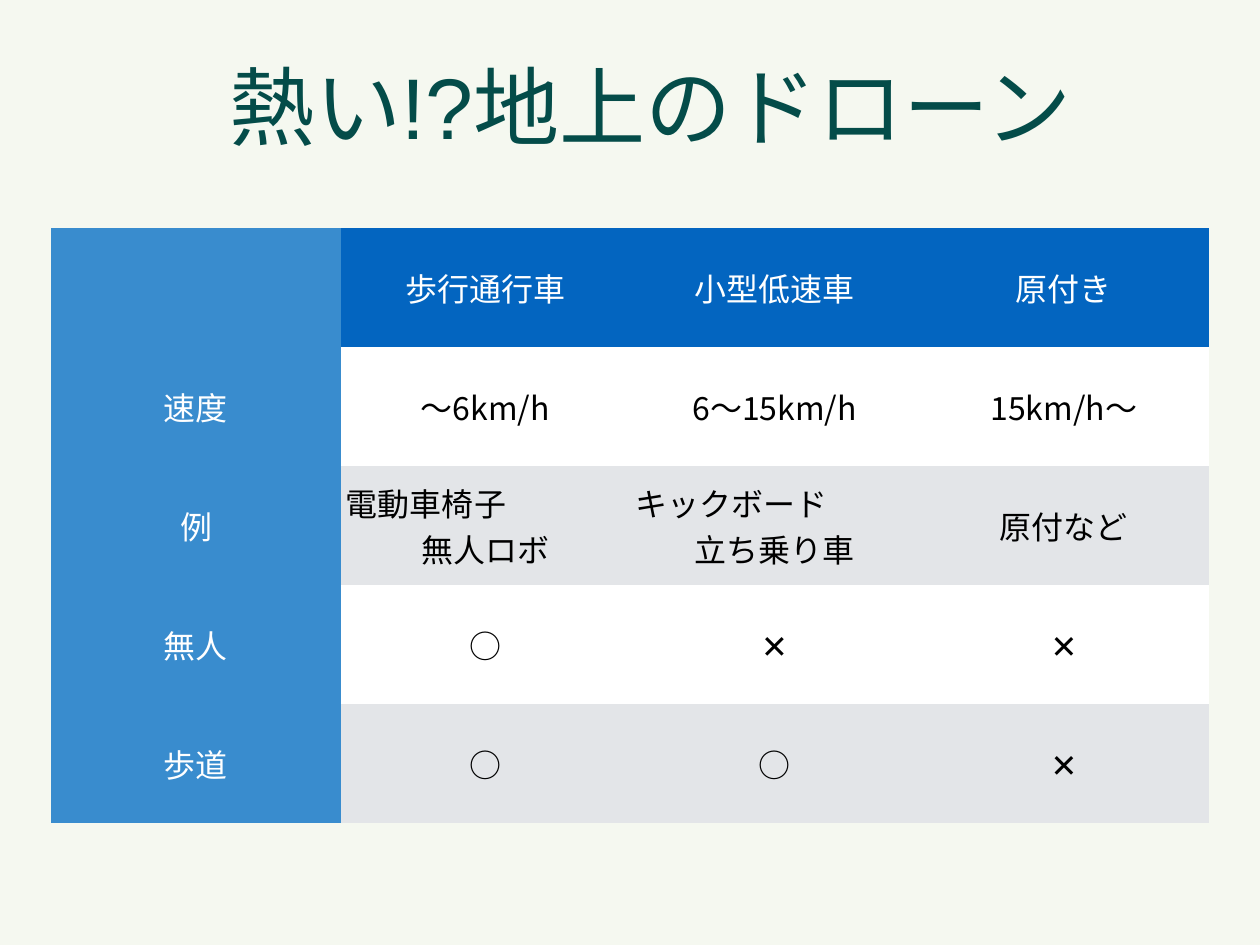
import pptx
import pptx.dml.color
import pptx.enum.text
import pptx.oxml.ns
import pptx.util
from lxml import etree

Inches = pptx.util.Inches
ALIGN = pptx.enum.text.PP_ALIGN
MIDDLE = pptx.enum.text.MSO_ANCHOR.MIDDLE
CJK_FONT = "Noto Sans CJK JP"
COLORS = {
    "background": "F5F8F0",
    "title": "044C49",
    "header": "0365C0",
    "label": "398CCE",
    "white": "FFFFFF",
    "band": "E3E5E8",
    "black": "000000",
}
ROWS = [
    ["", "歩行通行車", "小型低速車", "原付き"],
    ["速度", "〜6km/h", "6〜15km/h", "15km/h〜"],
    ["例", "電動車椅子\n無人ロボ", "キックボード\n立ち乗り車", "原付など"],
    ["無人", "○", "✕", "✕"],
    ["歩道", "○", "○", "✕"],
]


def rgb(name):
    return pptx.dml.color.RGBColor.from_string(COLORS[name])


def write_text(text_frame, text, *, size, color, font=CJK_FONT, first_align=ALIGN.CENTER):
    """Write one paragraph per line; lines after the first are centred."""
    text_frame.text = text
    for index, paragraph in enumerate(text_frame.paragraphs):
        paragraph.alignment = ALIGN.CENTER if index else first_align
        for run in paragraph.runs:
            run.font.name = font
            run.font.size = pptx.util.Pt(size)
            run.font.bold = False
            run.font.color.rgb = rgb(color)
            latin = run.font._element.find(pptx.oxml.ns.qn("a:latin"))
            east_asian = etree.Element(pptx.oxml.ns.qn("a:ea"), typeface=CJK_FONT)
            latin.addnext(east_asian)


def add_title(slide, left, top, width, height):
    title = slide.shapes.title
    title.left, title.top = Inches(left), Inches(top)
    title.width, title.height = Inches(width), Inches(height)
    frame = title.text_frame
    frame.auto_size = pptx.enum.text.MSO_AUTO_SIZE.NONE
    frame.word_wrap = True
    frame.vertical_anchor = MIDDLE
    frame.margin_left = frame.margin_right = Inches(0.04)
    frame.margin_top = frame.margin_bottom = Inches(0.04)
    write_text(frame, "熱い!?地上のドローン", size=70, color="title", font="Arial")


def remove_borders(cell):
    properties = cell._tc.get_or_add_tcPr()
    for position, side in enumerate(("lnL", "lnR", "lnT", "lnB")):
        line = etree.Element(pptx.oxml.ns.qn(f"a:{side}"), w="0")
        etree.SubElement(line, pptx.oxml.ns.qn("a:noFill"))
        properties.insert(position, line)


def cell_colors(row, column):
    """Return the fill and text colours for a place in the table."""
    if column == 0:
        return "label", "white"
    if row == 0:
        return "header", "white"
    return ("white" if row % 2 else "band"), "black"


def add_comparison_table(slide, left, top, width, height):
    table = slide.shapes.add_table(
        len(ROWS), len(ROWS[0]), Inches(left), Inches(top), Inches(width), Inches(height)
    ).table
    table.first_row = False
    table.horz_banding = False
    for row, texts in enumerate(ROWS):
        for column, text in enumerate(texts):
            cell = table.cell(row, column)
            fill, color = cell_colors(row, column)
            cell.fill.solid()
            cell.fill.fore_color.rgb = rgb(fill)
            remove_borders(cell)
            cell.vertical_anchor = MIDDLE
            cell.margin_left = cell.margin_right = Inches(0.06)
            cell.margin_top = cell.margin_bottom = Inches(0.06)
            first_align = ALIGN.LEFT if "\n" in text else ALIGN.CENTER
            write_text(cell.text_frame, text, size=26, color=color, first_align=first_align)


def main():
    presentation = pptx.Presentation()
    presentation.slide_width = Inches(14.22)
    presentation.slide_height = Inches(10.67)
    slide = presentation.slides.add_slide(presentation.slide_layouts.get_by_name("Title Only"))
    slide.background.fill.solid()
    slide.background.fill.fore_color.rgb = rgb("background")
    add_title(slide, 0.76, 0.42, 13.17, 1.53)
    add_comparison_table(slide, 0.58, 2.58, 13.06, 6.71)
    presentation.save("out.pptx")


if __name__ == "__main__":
    main()
